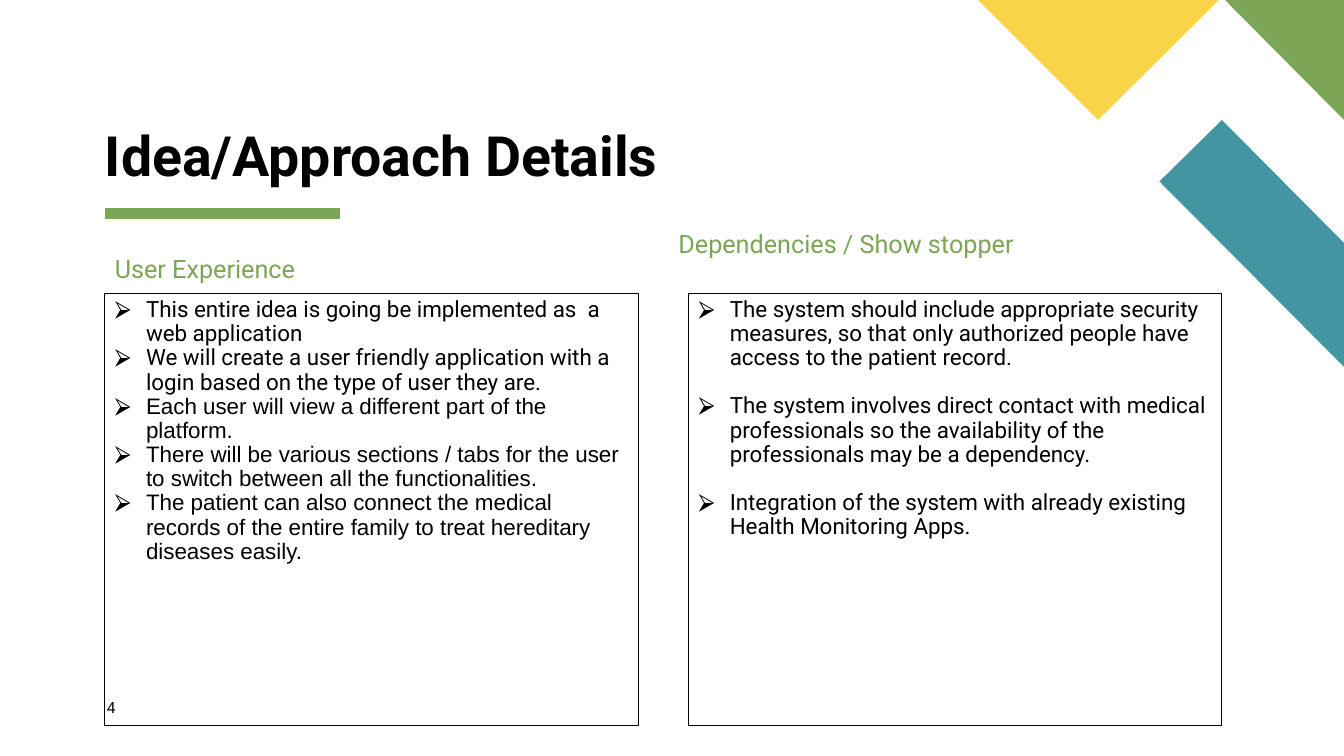
from dataclasses import dataclass

from lxml.etree import SubElement
from pptx import Presentation
from pptx.dml.color import RGBColor
from pptx.enum.shapes import MSO_CONNECTOR as Connector, MSO_SHAPE as Preset
from pptx.enum.text import MSO_ANCHOR as Anchor, PP_ALIGN as Align
from pptx.oxml.ns import qn
from pptx.shapes.base import BaseShape
from pptx.slide import Slide
from pptx.text.text import TextFrame
from pptx.util import Pt

PX = 9144
SLIDE_WIDTH, SLIDE_HEIGHT = 1333, 750
GREEN = RGBColor(0x7C, 0xA6, 0x55)
TEAL = RGBColor(0x44, 0x95, 0xA2)
YELLOW = RGBColor(0xF9, 0xD4, 0x48)
BLACK = RGBColor(0, 0, 0)
BULLET_INDENT = 31


@dataclass(frozen=True)
class Ornament:
    points: tuple[tuple[int, int], ...]
    color: RGBColor


@dataclass(frozen=True)
class Label:
    text: str
    left: int
    top: int
    width: int
    height: int
    size: float
    color: RGBColor = BLACK
    bold: bool = False
    inset: bool = False
    anchor: Anchor = Anchor.TOP
    line_spacing: float = 0.9


@dataclass(frozen=True)
class Item:
    text: str
    font: str = "Roboto"


@dataclass(frozen=True)
class Panel:
    left: int
    items: tuple[Item, ...]
    gap: int = 0


ORNAMENTS = (
    Ornament(((1333, 364), (1333, 241), (1212, 119), (1150, 180)), TEAL),
    Ornament(((1333, 119), (1333, 0), (1215, 0)), GREEN),
    Ornament(((970, 0), (1089, 119), (1209, 0)), YELLOW),
)

LABELS = (
    Label("Idea/Approach Details", 104, 120, 632, 67, 39.6, bold=True, anchor=Anchor.BOTTOM),
    Label("User Experience", 104, 250, 529, 35, 18, GREEN, inset=True),
    Label("Dependencies / Show stopper", 663, 225, 562, 35, 18, GREEN, inset=True),
)
SLIDE_NUMBER = Label("4", 106, 693, 57, 27, 11, line_spacing=1.0)

PANELS = (
    Panel(104, (
        Item("This entire idea is going be implemented as  a web application"),
        Item("We will create a user friendly application with a login based on the type of user they are."),
        Item("Each user will view a different part of the platform.", "Arial"),
        Item("There will be various sections / tabs for the user to switch between all the functionalities.", "Arial"),
        Item("The patient can also connect the medical records of the entire family to treat hereditary "
             "diseases easily.", "Arial"),
    )),
    Panel(683, (
        Item("The system should include appropriate security measures, so that only authorized people have "
             "access to the patient record."),
        Item("The system involves direct contact with medical professionals so the availability of the "
             "professionals may be a dependency."),
        Item("Integration of the system with already existing Health Monitoring Apps."),
    ), gap=17),
)


def add_ornament(slide: Slide, ornament: Ornament) -> None:
    start, *rest = ornament.points
    builder = slide.shapes.build_freeform(*start, scale=PX)
    builder.add_line_segments(rest, close=True)
    shape = builder.convert_to_shape()
    shape.shadow.inherit = False
    shape.fill.solid()
    shape.fill.fore_color.rgb = ornament.color
    shape.line.fill.background()


def add_underline(slide: Slide) -> None:
    underline = slide.shapes.add_connector(
        Connector.STRAIGHT, 104 * PX, 212 * PX, 337 * PX, 212 * PX)
    underline.line.color.rgb = GREEN
    underline.line.width = Pt(8)
    SubElement(underline._element.spPr, qn("a:effectLst"))


def add_text(frame: TextFrame, items: tuple[Item, ...], size: float, color: RGBColor,
             bold: bool = False, line_spacing: float = 0.9, gap: int = 0,
             bulleted: bool = False) -> None:
    frame.word_wrap = True
    for index, item in enumerate(items):
        paragraph = frame.add_paragraph() if index else frame.paragraphs[0]
        paragraph.text = item.text
        if bulleted:
            properties = paragraph._p.get_or_add_pPr()
            properties.set("marL", str(BULLET_INDENT * PX))
            properties.set("indent", str(-BULLET_INDENT * PX))
            bullet_color = SubElement(properties, qn("a:buClr"))
            SubElement(bullet_color, qn("a:srgbClr"), val=str(color))
            SubElement(properties, qn("a:buFont"), typeface="Arial")
            SubElement(properties, qn("a:buChar"), char="⮚")
        paragraph.alignment = Align.LEFT
        paragraph.line_spacing = line_spacing
        paragraph.space_before = Pt(gap if index else 0)
        paragraph.font.name = item.font
        paragraph.font.size = Pt(size)
        paragraph.font.bold = bold
        paragraph.font.color.rgb = color


def add_label(slide: Slide, label: Label) -> BaseShape:
    shape = slide.shapes.add_textbox(
        label.left * PX, label.top * PX, label.width * PX, label.height * PX)
    frame = shape.text_frame
    frame.vertical_anchor = label.anchor
    if not label.inset:
        frame.margin_left = frame.margin_right = frame.margin_top = frame.margin_bottom = 0
    add_text(frame, (Item(label.text),), label.size, label.color, label.bold, label.line_spacing)
    return shape


def add_panel(slide: Slide, panel: Panel) -> None:
    shape = slide.shapes.add_shape(
        Preset.RECTANGLE, panel.left * PX, 291 * PX, 529 * PX, 429 * PX)
    shape.shadow.inherit = False
    shape.fill.background()
    shape.line.color.rgb = BLACK
    shape.line.width = Pt(0.75)
    shape.text_frame.vertical_anchor = Anchor.TOP
    add_text(shape.text_frame, panel.items, 16, BLACK, gap=panel.gap, bulleted=True)


def main() -> None:
    presentation = Presentation()
    presentation.slide_width = SLIDE_WIDTH * PX
    presentation.slide_height = SLIDE_HEIGHT * PX
    slide = presentation.slides.add_slide(presentation.slide_layouts[6])
    add_underline(slide)
    for ornament in ORNAMENTS:
        add_ornament(slide, ornament)
    for label in LABELS:
        add_label(slide, label)
    for panel in PANELS:
        add_panel(slide, panel)
    add_label(slide, SLIDE_NUMBER)
    presentation.save("out.pptx")


if __name__ == "__main__":
    main()
